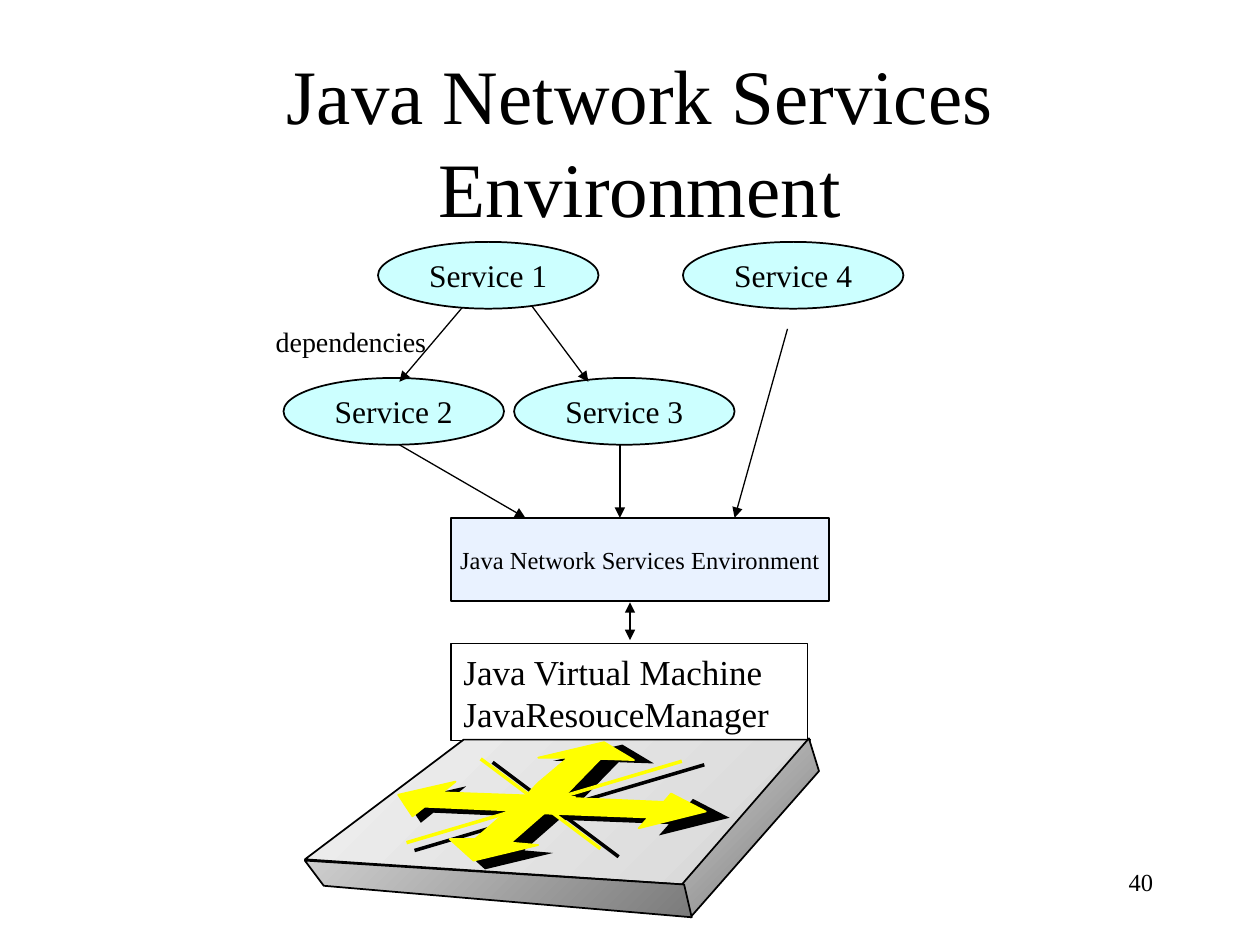
from dataclasses import dataclass
from typing import Optional

from lxml.etree import SubElement
from pptx import Presentation
from pptx.dml.color import RGBColor
from pptx.enum.shapes import MSO_CONNECTOR, MSO_SHAPE
from pptx.enum.text import MSO_ANCHOR, PP_ALIGN
from pptx.oxml.ns import qn
from pptx.util import Inches, Pt

FONT = "Times New Roman"
BLACK, YELLOW = "000000", "FFFF00"
AQUA, PALE_BLUE = "CCFFFF", "E9F2FF"
CELL = Inches(1)  # the slide is a grid of 10 columns by 7.5 rows
Point = tuple[float, float]


@dataclass
class Block:
    text: str
    left: float
    top: float
    width: float
    height: float
    size: float
    fill: Optional[str] = None
    line: Optional[float] = None
    preset: MSO_SHAPE = MSO_SHAPE.RECTANGLE
    align: PP_ALIGN = PP_ALIGN.CENTER
    anchor: MSO_ANCHOR = MSO_ANCHOR.MIDDLE
    wrap: bool = False


@dataclass
class Arrow:
    start: Point
    end: Point
    weight: float = 0.75
    color: str = BLACK
    head: bool = False
    tail: bool = True


@dataclass
class Face:
    points: list[Point]
    dark: str
    light: str


def color_of(value: str) -> RGBColor:
    return RGBColor.from_string(value)


def cells(*values: float) -> list[int]:
    return [round(value * CELL) for value in values]


def write(shape, text: str, size: float, align: PP_ALIGN, anchor: MSO_ANCHOR, wrap: bool) -> None:
    frame = shape.text_frame
    frame.word_wrap = wrap
    frame.vertical_anchor = anchor
    para = frame.paragraphs[0]
    para.alignment = align
    span = para.add_run()
    span.text = text
    span.font.size = Pt(size)
    span.font.name = FONT
    span.font.color.rgb = color_of(BLACK)


def set_line(shape, color: str, weight: float) -> None:
    shape.line.color.rgb = color_of(color)
    shape.line.width = Pt(weight)


def draw_block(page, block: Block) -> None:
    place = cells(block.left, block.top, block.width, block.height)
    if block.line is None:
        shape = page.shapes.add_textbox(*place)
    else:
        shape = page.shapes.add_shape(block.preset, *place)
        shape.shadow.inherit = False
        set_line(shape, BLACK, block.line)
        if block.fill:
            shape.fill.solid()
            shape.fill.fore_color.rgb = color_of(block.fill)
        else:
            shape.fill.background()
    write(shape, block.text, block.size, block.align, block.anchor, block.wrap)


def draw_arrow(page, arrow: Arrow) -> None:
    line = page.shapes.add_connector(MSO_CONNECTOR.STRAIGHT, *cells(*arrow.start, *arrow.end))
    set_line(line, arrow.color, arrow.weight)
    outline = line.line._get_or_add_ln()
    for tag, wanted in (("a:headEnd", arrow.head), ("a:tailEnd", arrow.tail)):
        if wanted:
            SubElement(outline, qn(tag), type="triangle")
    SubElement(line._element.spPr, qn("a:effectLst"))


def draw_outline(page, points: list[Point]):
    first, *others = [cells(*point) for point in points]
    builder = page.shapes.build_freeform(*first)
    builder.add_line_segments(others, close=True)
    shape = builder.convert_to_shape()
    shape.shadow.inherit = False
    return shape


def draw_face(page, face: Face) -> None:
    shape = draw_outline(page, face.points)
    shape.fill.gradient()
    shape.fill.gradient_angle = 135
    for stop, color, position in zip(shape.fill.gradient_stops, (face.dark, face.light), (0, 1)):
        stop.color.rgb = color_of(color)
        stop.position = position
    set_line(shape, BLACK, 1)


def raised(point: Point) -> Point:
    """Move a point of the black shadow to its place on the yellow sign."""
    x, y = point
    return 3.16 + 0.95 * (x - 3.22), 5.89 + 0.95 * (y - 5.91)


def draw_sign(page, color: str, lifted: bool) -> None:
    def place(points):
        return [raised(point) if lifted else point for point in points]

    for points in SIGN_ARROWS:
        shape = draw_outline(page, place(points))
        shape.fill.solid()
        shape.fill.fore_color.rgb = color_of(color)
        if lifted:
            set_line(shape, color, 1)
        else:
            shape.line.fill.background()
    for points in SIGN_LINES:
        draw_arrow(page, Arrow(*place(points), weight=2, color=color, tail=False))


def service(number: int, left: float, top: float) -> Block:
    return Block(f"Service {number}", left, top, 1.75, 0.53, 18, AQUA, 1, MSO_SHAPE.OVAL)


MACHINE = Block("Java Virtual Machine JavaResouceManager", 3.58, 5.11, 2.83, 0.77, 20,
                line=0.75, align=PP_ALIGN.LEFT, anchor=MSO_ANCHOR.TOP, wrap=True)
LOWER_BLOCKS = [
    service(2, 2.25, 3), service(3, 4.08, 3),
    Block("Java Network Services Environment", 3.58, 4.11, 3, 0.66, 14, PALE_BLUE, 1),
]
UPPER_BLOCKS = [
    service(1, 3, 1.92), service(4, 5.42, 1.92),
    Block("dependencies", 2.04, 2.53, 1.49, 0.36, 16),
    Block("40", 7.17, 6.83, 2.08, 0.5, 14, align=PP_ALIGN.RIGHT,
          anchor=MSO_ANCHOR.TOP, wrap=True),
]
ARROWS = [
    Arrow((3.67, 2.44), (3.17, 3.03)), Arrow((4.17, 2.36), (4.67, 3.03)),
    Arrow((3.17, 3.53), (4.17, 4.11)), Arrow((4.92, 3.53), (4.92, 4.11)),
    Arrow((6.25, 2.61), (5.83, 4.11)),
    Arrow((5, 4.78), (5, 5.08), weight=1, head=True),
]
ROUTER_FACES = [
    Face([(2.42, 6.82), (3.68, 5.87), (6.43, 5.87), (5.43, 7.02)], "D6D6D6", "F0F0F0"),
    Face([(5.48, 7.28), (5.42, 7.01), (6.42, 5.86), (6.5, 6.12)], "7B7B7B", "CECECE"),
    Face([(2.42, 6.83), (2.57, 7.03), (5.49, 7.28), (5.43, 7.02)], "7B7B7B", "CECECE"),
]
SIGN_ARROWS = [
    [(4.53, 6.44), (4.22, 6.43), (4.39, 6.25), (4.64, 6.04), (4.39, 6.04), (4.94, 5.91),
     (5.19, 6.06), (4.91, 6.05)],
    [(4.48, 6.47), (4.16, 6.46), (3.84, 6.74), (3.86, 6.72), (3.65, 6.72), (3.85, 6.9),
     (4.39, 6.77), (4.16, 6.75)],
    [(4.5, 6.37), (5.44, 6.41), (5.5, 6.34), (5.79, 6.49), (5.23, 6.63), (5.31, 6.54),
     (4.28, 6.5)],
    [(4.7, 6.37), (3.59, 6.33), (3.7, 6.24), (3.22, 6.35), (3.34, 6.53), (3.44, 6.45),
     (4.58, 6.5)],
]
SIGN_LINES = [[(3.29, 6.75), (5.59, 6.07)], [(3.91, 6.05), (4.91, 6.8)]]


def main() -> None:
    deck = Presentation()
    deck.slide_width, deck.slide_height = cells(10, 7.5)
    page = deck.slides.add_slide(deck.slide_layouts[5])

    # Title
    title = page.shapes.title
    title.left, title.top, title.width, title.height = cells(0.83, 0.33, 8.5, 1.25)
    write(title, "Java Network Services Environment", 44, PP_ALIGN.CENTER, MSO_ANCHOR.TOP, True)

    # Virtual machine and the router below it
    draw_block(page, MACHINE)
    for face in ROUTER_FACES:
        draw_face(page, face)
    draw_sign(page, BLACK, lifted=False)
    draw_sign(page, YELLOW, lifted=True)

    # Services and their dependencies; the upper services cover the arrow starts
    for block in LOWER_BLOCKS:
        draw_block(page, block)
    for arrow in ARROWS:
        draw_arrow(page, arrow)
    for block in UPPER_BLOCKS:
        draw_block(page, block)
    deck.save("out.pptx")


if __name__ == "__main__":
    main()
